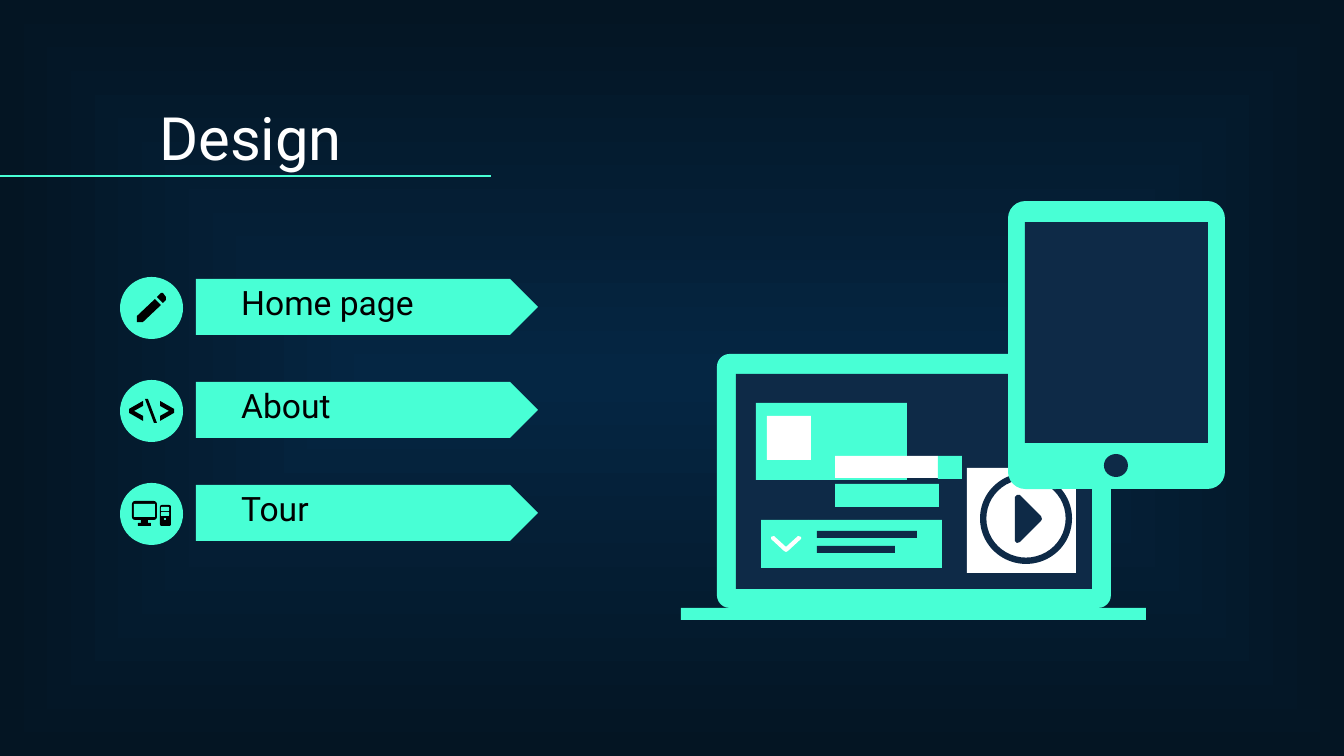
from lxml import etree
from pptx import Presentation, util as u
from pptx.dml.color import RGBColor
from pptx.enum import shapes, text
from pptx.oxml.ns import qn

PX = 914400 / 134.4
MINT, NAVY, WHITE, BLACK = "48FFD5", "0E2A47", "FFFFFF", "000000"
KIND = shapes.MSO_SHAPE
PITCH = 103


def color(target, value):
    target.rgb = RGBColor.from_string(value)


def draw(outline, fill, kind=None, adj=None):
    """Draw a preset from (left, top, width, height), or a polygon from points."""
    if kind is None:
        builder = s.shapes.build_freeform(*outline[0], scale=PX)
        builder.add_line_segments(outline[1:])
        sp = builder.convert_to_shape()
    else:
        sp = s.shapes.add_shape(kind, *[round(v * PX) for v in outline])
    if adj is not None:
        sp.adjustments[0] = adj
    sp.shadow.inherit = False
    sp.fill.solid()
    color(sp.fill.fore_color, fill)
    sp.line.fill.background()
    return sp


prs = Presentation()
prs.slide_width, prs.slide_height = u.Inches(10), u.Inches(5.625)
s = prs.slides.add_slide(prs.slide_layouts[6])

# Background: rectangular gradient, lighter in the centre
fill = s.background.fill
fill.gradient()
for stop, value, position in zip(fill.gradient_stops, ("052643", "041523"), (0, 1)):
    color(stop.color, value)
    stop.position = position
grad = s.background._cSld.find(".//" + qn("a:gradFill"))
grad.remove(grad.find(qn("a:lin")))
shade = etree.SubElement(grad, qn("a:path"), path="rect")
etree.SubElement(shade, qn("a:fillToRect"), l="50000", t="50000", r="50000", b="50000")

# Arrow labels and round icon backgrounds
labels = ["Home page", "About", "Tour"]
for i in range(len(labels)):
    draw((196, 279 + i * PITCH, 342, 56), MINT, KIND.PENTAGON, 0.5)
    draw((120, 277 + i * PITCH, 63, 62), MINT, KIND.OVAL)

# Title and label text
texts = [("Design", (146, 97, 1152, 89), 32, WHITE)]
texts += [(label, (228, 307 + i * PITCH, 305, 29), 18, BLACK) for i, label in enumerate(labels)]
for words, box, size, ink in texts:
    tf = s.shapes.add_textbox(*[round(v * PX) for v in box]).text_frame
    tf.word_wrap = True
    tf.vertical_anchor = text.MSO_ANCHOR.BOTTOM
    tf.margin_left = tf.margin_right = tf.margin_top = tf.margin_bottom = u.Inches(0.1)
    tf.text = words
    r = tf.paragraphs[0].runs[0]
    r.font.name, r.font.size = "Roboto", u.Pt(size)
    color(r.font.color, ink)

# Title rule
rule = s.shapes.add_connector(shapes.MSO_CONNECTOR.STRAIGHT, 0, round(176 * PX),
                              round(491 * PX), round(176 * PX))
color(rule.line.color, MINT)
rule.line.width = u.Pt(0.75)
etree.SubElement(rule._element.spPr, qn("a:effectLst"))

# Pencil and code icons
bracket = [(143, 421), (129, 413), (129, 409), (143, 401), (143, 406), (134, 411), (143, 416)]
for points in (
    [(155, 299), (137, 316), (137, 322), (143, 322), (161, 305)],
    [(161, 293), (157, 297), (163, 303), (166, 300), (166, 297), (163, 293)],
    bracket,
    [(303 - x, y) for x, y in bracket],
    [(145, 399), (148, 399), (157, 423), (154, 423)],
):
    draw(points, BLACK)

# Computer icon: monitor, stand, foot, tower
for box, ink, kind in (
    ((132, 501, 25, 19), BLACK, KIND.ROUNDED_RECTANGLE),
    ((134, 504, 21, 13), MINT, KIND.RECTANGLE),
    ((141, 520, 7, 3), BLACK, KIND.RECTANGLE),
    ((138, 523, 13, 3), BLACK, KIND.ROUNDED_RECTANGLE),
    ((160, 505, 11, 21), BLACK, KIND.ROUNDED_RECTANGLE),
    ((161, 507, 8, 4), MINT, KIND.ROUNDED_RECTANGLE),
    ((161, 512, 8, 4), MINT, KIND.ROUNDED_RECTANGLE),
    ((164, 518, 2, 2), MINT, KIND.OVAL),
):
    draw(box, ink, kind)

# Laptop body, then screen, base and page blocks
draw((717, 354, 394, 254), MINT, KIND.ROUNDED_RECTANGLE, 0.05)
for box, ink in (
    ((736, 374, 356, 215), NAVY),
    ((681, 608, 465, 12), MINT),
    ((756, 403, 151, 77), MINT),
    ((767, 416, 44, 44), WHITE),
    ((809, 520, 133, 48), MINT),
    ((817, 531, 100, 7), NAVY),
    ((817, 546, 78, 7), NAVY),
    ((761, 520, 48, 48), MINT),
    ((835, 484, 104, 23), MINT),
    ((835, 456, 103, 22), WHITE),
    ((938, 456, 24, 23), MINT),
    ((967, 468, 109, 105), WHITE),
):
    draw(box, ink, KIND.RECTANGLE)

# Drop-down chevron
draw([(771, 537), (774, 536), (786, 547), (798, 536), (801, 537), (801, 539),
      (788, 551), (786, 552), (784, 551), (771, 539)], WHITE)

# Play button
draw((980, 473, 92, 91), NAVY, KIND.DONUT, 0.07)
draw([(1015, 497), (1017, 495), (1020, 495), (1041, 516), (1042, 519), (1041, 521),
      (1020, 542), (1017, 543), (1015, 541)], NAVY)

# Tablet
draw((1008, 201, 217, 288), MINT, KIND.ROUNDED_RECTANGLE, 0.08)
draw((1025, 222, 183, 221), NAVY, KIND.RECTANGLE)
draw((1104, 454, 24, 23), NAVY, KIND.OVAL)

prs.save("out.pptx")
